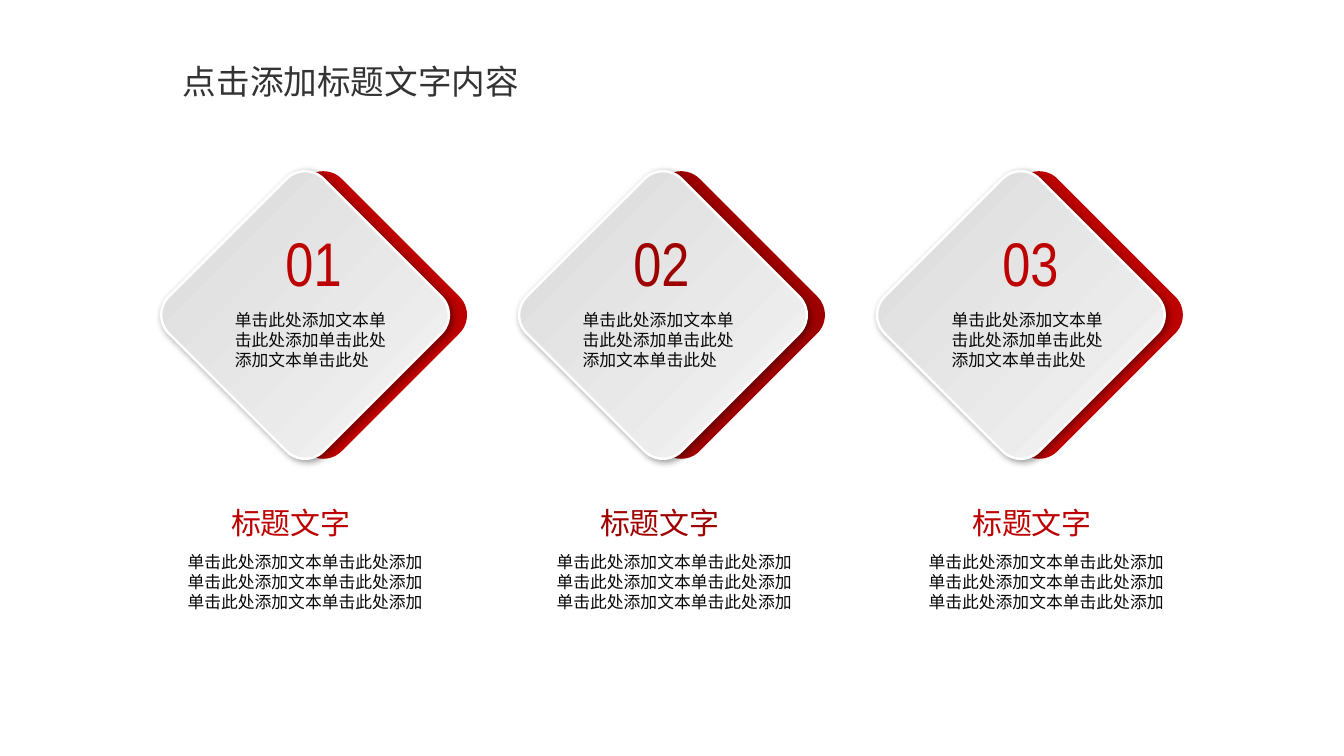
from lxml.etree import SubElement
from pptx import Presentation
from pptx.dml.color import RGBColor
from pptx.enum.shapes import MSO_SHAPE as Shape
from pptx.enum.text import MSO_AUTO_SIZE as AutoSize, PP_ALIGN as Align
from pptx.oxml import parse_xml
from pptx.oxml.ns import nsdecls, qn
from pptx.util import Inches, Pt

CJK, NARROW = "Noto Sans CJK SC", "Arial Narrow"
RED, DARK_RED, INK = "BD0000", "9E0000", "080808"
DEFAULT_INSETS = (0.1, 0.05, 0.1, 0.05)
TILE_SIZE, TILE_TOP, TILE_OFFSET = 2.17, 2.04, 0.18
FIRST_TILE, TILE_PITCH = 1.94, 3.55
TILE_TEXT = "单击此处添加文本单击此处添加单击此处添加文本单击此处"
CAPTION_LINES = ["单击此处添加文本单击此处添加"] * 3

# Number, accent colour, left of the tile text, left of the caption
CARDS = [
    ("01", RED, 2.23, 1.86),
    ("02", DARK_RED, 5.68, 5.52),
    ("03", RED, 9.34, 9.21),
]


def color(hex_string):
    return RGBColor.from_string(hex_string)


def add_text(slide, box, lines, size, hex_color, font=CJK, align=Align.LEFT,
             insets=DEFAULT_INSETS, wrap=True):
    shape = slide.shapes.add_textbox(*map(Inches, box))
    frame = shape.text_frame
    frame.word_wrap = wrap
    frame.auto_size = AutoSize.SHAPE_TO_FIT_TEXT
    (frame.margin_left, frame.margin_top,
     frame.margin_right, frame.margin_bottom) = map(Inches, insets)
    for index, line in enumerate(lines):
        paragraph = frame.add_paragraph() if index else frame.paragraphs[0]
        paragraph.alignment = align
        run = paragraph.add_run()
        run.text = line
        run.font.size = Pt(size)
        run.font.color.rgb = color(hex_color)
        run.font.name = font
        SubElement(run.font._element, qn("a:ea"), typeface=font)


def add_diamond(slide, left, top):
    shape = slide.shapes.add_shape(
        Shape.ROUNDED_RECTANGLE, *map(Inches, (left, top, TILE_SIZE, TILE_SIZE)))
    shape.adjustments[0] = 0.12
    shape.rotation = 45
    shape.shadow.inherit = False
    return shape


def add_soft_shadow(shape):
    effects = shape._element.spPr.find(qn("a:effectLst"))
    effects.append(parse_xml(
        f'<a:outerShdw {nsdecls("a")} blurRad="{Pt(5)}" dist="{Pt(2)}" '
        f'dir="{45 * 60000}" algn="tl"><a:srgbClr val="000000">'
        '<a:alpha val="40000"/></a:srgbClr></a:outerShdw>'))


def add_tile(slide, left, top, accent):
    # Coloured diamond behind
    back = add_diamond(slide, left + TILE_OFFSET, top)
    back.fill.solid()
    back.fill.fore_color.rgb = color(accent)
    back.line.fill.background()

    # Grey diamond in front
    front = add_diamond(slide, left, top)
    front.fill.gradient()
    front.fill.gradient_angle = 0
    for stop, shade in zip(front.fill.gradient_stops, ("D9D9D9", "F5F5F5")):
        stop.color.rgb = color(shade)
    front.line.color.rgb = color("FFFFFF")
    front.line.width = Pt(1.75)
    add_soft_shadow(front)


def add_tile_text(slide, left, top, number, accent):
    add_text(slide, (left + 0.09, top, 1.58, 0.84), [number], 44, accent,
             font=NARROW, align=Align.CENTER)
    add_text(slide, (left, top + 0.84, 1.75, 0.71), [TILE_TEXT], 12, INK)


def add_caption(slide, left, top, accent):
    add_text(slide, (left + 0.43, top, 1.19, 0.38), ["标题文字"], 21.4, accent,
             align=Align.CENTER, insets=(0, 0, 0, 0), wrap=False)
    add_text(slide, (left, top + 0.46, 2.58, 0.66), CAPTION_LINES, 12, INK,
             insets=(0, 0, 0.1, 0.05))


def main():
    presentation = Presentation()
    presentation.slide_width = Inches(13.33)
    presentation.slide_height = Inches(7.5)
    slide = presentation.slides.add_slide(presentation.slide_layouts[6])

    # Title
    add_text(slide, (1.02, 0.56, 4.92, 0.53), ["点击添加标题文字内容"], 24,
             "333333", align=Align.CENTER)

    # Three numbered cards
    for index, (number, accent, text_left, caption_left) in enumerate(CARDS):
        add_tile(slide, FIRST_TILE + index * TILE_PITCH, TILE_TOP, accent)
        add_tile_text(slide, text_left, 2.18, number, accent)
        add_caption(slide, caption_left, 5.01, accent)

    presentation.save("out.pptx")


if __name__ == "__main__":
    main()
